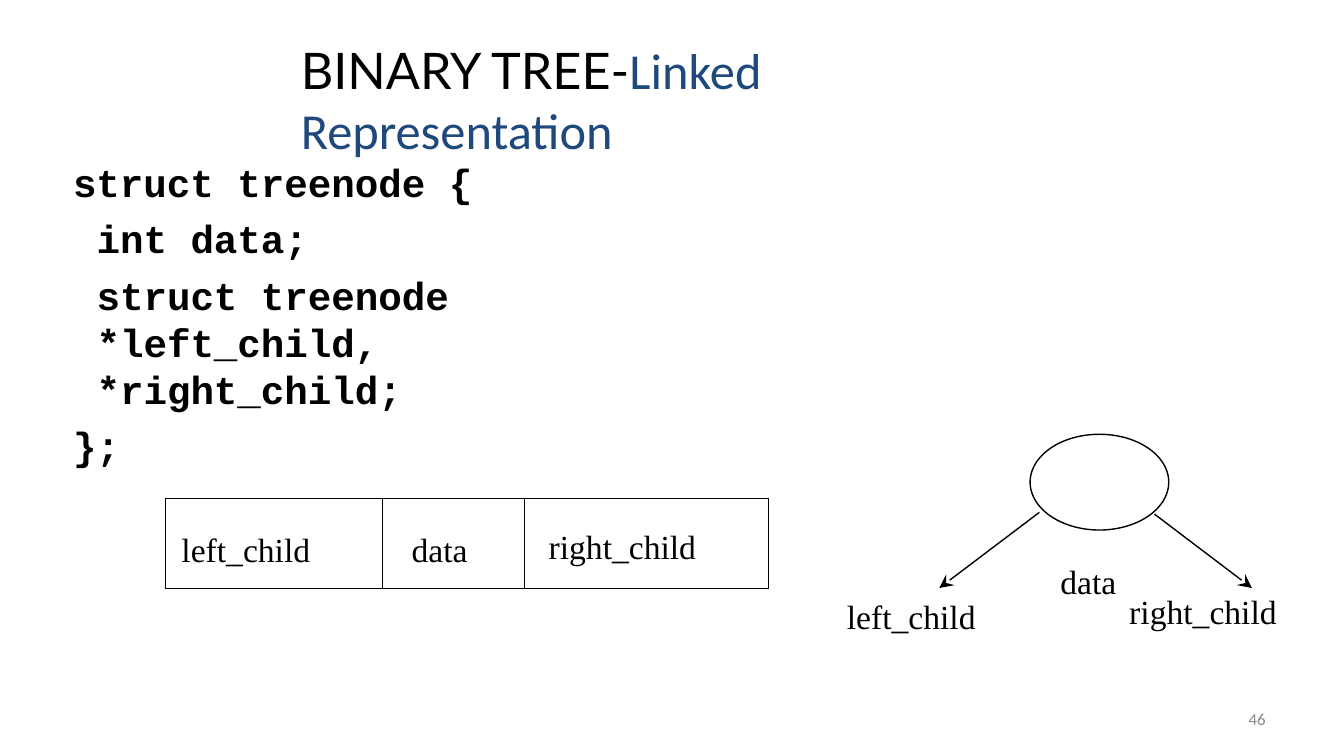
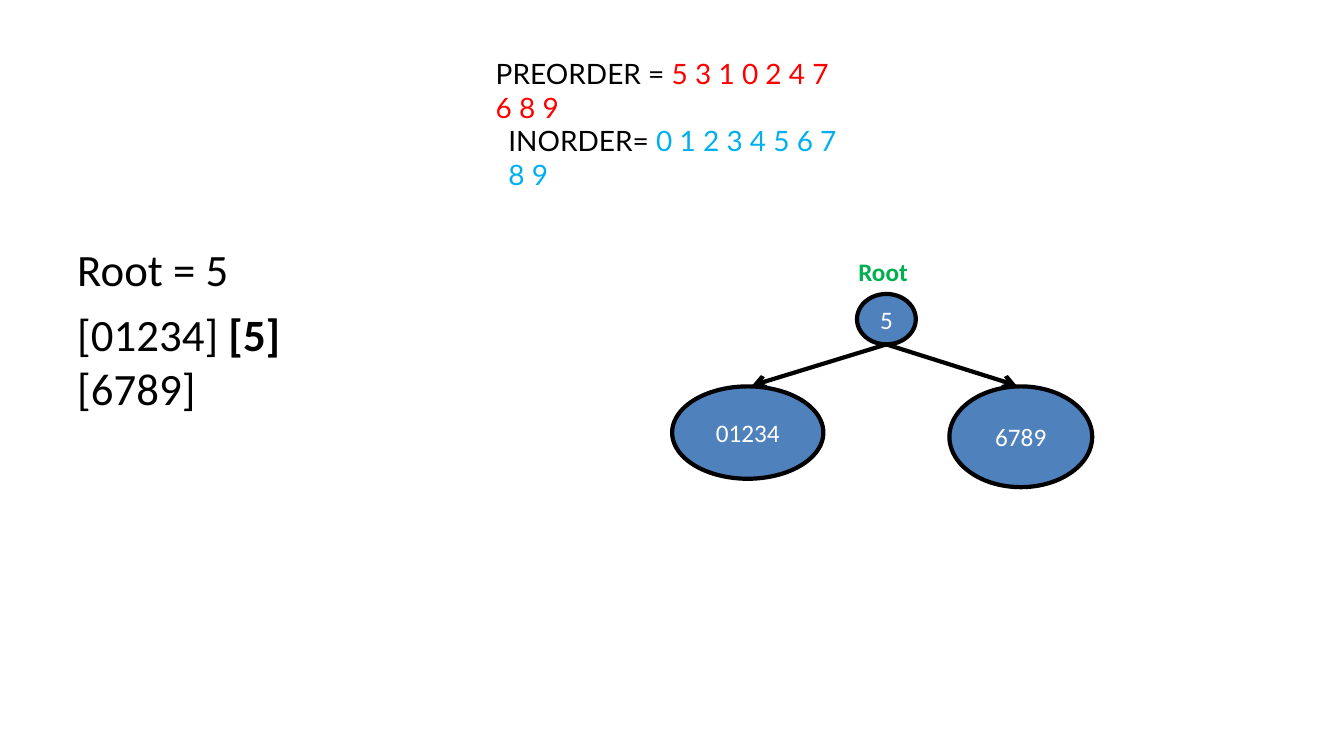
"""Build two lecture slides on the linked representation and rebuilding of binary trees."""
from dataclasses import dataclass
from typing import Optional

from lxml import etree
from pptx import Presentation
from pptx.dml.color import RGBColor
from pptx.enum.shapes import MSO_CONNECTOR, MSO_SHAPE
from pptx.enum.text import MSO_ANCHOR, PP_ALIGN
from pptx.oxml.ns import qn
from pptx.util import Emu, Inches, Pt

OVAL = MSO_SHAPE.OVAL
STRAIGHT = MSO_CONNECTOR.STRAIGHT
TOP, MIDDLE = MSO_ANCHOR.TOP, MSO_ANCHOR.MIDDLE
LEFT, CENTER = PP_ALIGN.LEFT, PP_ALIGN.CENTER

SLIDE_WIDTH, SLIDE_HEIGHT = Inches(13.33), Inches(7.5)
GRID_ROWS = 90
UNIT = SLIDE_HEIGHT // GRID_ROWS

BLACK, WHITE, GREY = "000000", "FFFFFF", "888888"
NAVY, NODE_BLUE, SKY, RED, GREEN = "1F487C", "4F81BC", "00AFEF", "FF0000", "00AF50"
TITLE_FONT, BODY_FONT = "Lato", "Calibri"
CODE_FONT, FIELD_FONT = "Courier New", "Times New Roman"


@dataclass(frozen=True)
class Run:
    """A stretch of text that differs from its box in some way."""
    text: str
    color: Optional[str] = None
    font: Optional[str] = None
    bold: Optional[bool] = None


@dataclass(frozen=True)
class Line:
    """A paragraph with its indent and tab stops in grid units."""
    runs: tuple[Run, ...]
    indent: float = 0
    tabs: tuple[float, ...] = ()


@dataclass(frozen=True)
class Box:
    """A rectangle in grid units."""
    left: float
    top: float
    width: float
    height: float

    @property
    def emu(self) -> tuple[Emu, Emu, Emu, Emu]:
        """Return the rectangle as slide lengths."""
        return grid(self.left), grid(self.top), grid(self.width), grid(self.height)


@dataclass(frozen=True)
class Field:
    """One member of the node record, with its cell and inner margins."""
    name: str
    width: float
    margin_left: float
    margin_top: float


@dataclass(frozen=True)
class Arrow:
    """A straight arrow between two grid points."""
    start: tuple[float, float]
    end: tuple[float, float]


@dataclass(frozen=True)
class Node:
    """A tree node with its key text."""
    keys: str
    box: Box


def grid(units: float) -> Emu:
    """Turn grid units into a slide length."""
    return Emu(round(units * UNIT))


def rgb(value: str) -> RGBColor:
    """Turn a hex string into a colour."""
    return RGBColor.from_string(value)


def plain(text: str, indent: float = 0) -> Line:
    """Return a line made of a single run."""
    return Line((Run(text),), indent)


def write(frame, *lines: Line, size: float, font: str = BODY_FONT, color: str = BLACK,
          bold: bool = False, align=LEFT, anchor=TOP, before: float = 0,
          spacing: Optional[float] = None) -> None:
    """Fill a text frame with formatted lines."""
    frame.word_wrap = True
    frame.vertical_anchor = anchor
    frame.margin_left = frame.margin_right = frame.margin_top = frame.margin_bottom = 0
    for index, line in enumerate(lines):
        paragraph = frame.add_paragraph() if index else frame.paragraphs[0]
        properties = paragraph._p.get_or_add_pPr()
        properties.set("marL", str(grid(line.indent)))
        properties.set("indent", "0")
        paragraph.alignment = align
        if spacing:
            paragraph.line_spacing = Pt(spacing)
        if index:
            paragraph.space_before = Pt(before)
        if line.tabs:
            stops = etree.SubElement(properties, qn("a:tabLst"))
            for position in line.tabs:
                etree.SubElement(stops, qn("a:tab"), pos=str(grid(position)), algn="l")
        for part in line.runs:
            run = paragraph.add_run()
            run.text = part.text
            run.font.size = Pt(size)
            run.font.name = part.font or font
            run.font.bold = bold if part.bold is None else part.bold
            run.font.color.rgb = rgb(part.color or color)


def add_text(slide, box: Box, *lines: Line, **style) -> None:
    """Place a text box on the slide."""
    write(slide.shapes.add_textbox(*box.emu).text_frame, *lines, **style)


def add_title(slide, box: Box, *lines: Line, size: float) -> None:
    """Place a title in the shared title style."""
    add_text(slide, box, *lines, size=size, font=TITLE_FONT, anchor=MIDDLE)


def add_node(slide, node: Node, weight: float, fill: Optional[str] = None) -> None:
    """Draw a tree node as an outlined oval with its keys."""
    oval = slide.shapes.add_shape(OVAL, *node.box.emu)
    oval.shadow.inherit = False
    oval.line.color.rgb = rgb(BLACK)
    oval.line.width = Pt(weight)
    if fill:
        oval.fill.solid()
        oval.fill.fore_color.rgb = rgb(fill)
    else:
        oval.fill.background()
    if node.keys:
        write(oval.text_frame, plain(node.keys), size=18, color=WHITE,
              align=CENTER, anchor=MIDDLE)


def add_arrow(slide, arrow: Arrow, weight: float, head: str, head_size: str) -> None:
    """Draw an arrow with the given head."""
    points = [grid(value) for value in (*arrow.start, *arrow.end)]
    connector = slide.shapes.add_connector(STRAIGHT, *points)
    connector.line.color.rgb = rgb(BLACK)
    connector.line.width = Pt(weight)
    etree.SubElement(connector.line._get_or_add_ln(), qn("a:tailEnd"),
                     type=head, w=head_size, len=head_size)
    etree.SubElement(connector._element.spPr, qn("a:effectLst"))


def add_borders(cell, weight: float) -> None:
    """Outline a table cell in black."""
    properties = cell._tc.get_or_add_tcPr()
    for index, side in enumerate(("a:lnL", "a:lnR", "a:lnT", "a:lnB")):
        border = etree.Element(qn(side), w=str(Pt(weight)))
        fill = etree.SubElement(border, qn("a:solidFill"))
        etree.SubElement(fill, qn("a:srgbClr"), val=BLACK)
        properties.insert(index, border)


def add_record(slide, left: float, top: float, height: float, fields: tuple[Field, ...]) -> None:
    """Draw the node record as a one-row table."""
    box = Box(left, top, sum(field.width for field in fields), height)
    table = slide.shapes.add_table(1, len(fields), *box.emu).table
    table.first_row = table.horz_banding = False
    table.rows[0].height = grid(height)
    for index, field in enumerate(fields):
        table.columns[index].width = grid(field.width)
        cell = table.cell(0, index)
        write(cell.text_frame, plain(field.name), size=24, font=FIELD_FONT)
        cell.margin_left, cell.margin_top = grid(field.margin_left), grid(field.margin_top)
        cell.margin_right = cell.margin_bottom = 0
        cell.fill.background()
        add_borders(cell, 1)


def build_linked_slide(slide) -> None:
    """Show the node structure, its record and its drawing."""
    add_title(slide, Box(35.8, 4.6, 88.9, 14.4),
              Line((Run("BINARY TREE-"),
                    Run("Linked Representation", NAVY, BODY_FONT))), size=36)
    add_text(slide, Box(8.5, 18.8, 55, 38),
             plain("struct treenode {", 0.2),
             plain("int data;", 3),
             plain("struct treenode *left_child, *right_child;", 3),
             plain("};", 0.2),
             size=28, font=CODE_FONT, bold=True, before=6.8, spacing=33.6)
    add_record(slide, 19.7, 59.3, 10.8, (
        Field("left_child", 25.8, 1.9, 4.1),
        Field("data", 16.9, 3.5, 4.1),
        Field("right_child", 29.1, 2.9, 3.8)))
    add_node(slide, Node("", Box(122.6, 51.7, 16.5, 11.4)), 1)
    for arrow in (Arrow((123.7, 61), (111.8, 70)), Arrow((137.4, 61.2), (149, 70))):
        add_arrow(slide, arrow, 1, "stealth", "lg")
    for name, left, top in (("left_child", 100.8, 70.9), ("data", 126.2, 66.8),
                            ("right_child", 134.4, 70.4)):
        add_text(slide, Box(left, top, 20, 5), plain(name), size=24, font=FIELD_FONT)
    add_text(slide, Box(148.6, 84.4, 3, 2.8), plain("46"), size=12, color=GREY)


def build_traversal_slide(slide) -> None:
    """Show the first split of the tree from its two traversals."""
    add_title(slide, Box(59, 6.7, 41.4, 16.1),
              Line((Run("PREORDER = "), Run("5 3 1 0 2 4 7 6 8 9", RED))),
              Line((Run("INORDER= "), Run("0 1 2 3 4 5 6 7 8 9", SKY)), 1.5), size=20)
    add_text(slide, Box(9, 28.8, 38.4, 21),
             plain("Root = 5", 0.2),
             Line((Run("[01234]\t"), Run("[5]\t", bold=True), Run("[6789]")),
                  0.2, (19.3, 28)),
             size=32, before=7.7)
    root = Node("5", Box(102, 35, 7, 6))
    subtrees = (Node("01234", Box(80, 46, 18, 11)), Node("6789", Box(113, 46, 17, 12)))
    for node in (root, *subtrees):
        add_node(slide, node, 3, NODE_BLUE)
    for tip in (89.5, 121):
        add_arrow(slide, Arrow((105.5, 41), (tip, 45.9)), 3, "arrow", "med")
    add_text(slide, Box(101.6, 30.5, 7, 3.7), plain("Root"),
             size=18, color=GREEN, bold=True, align=CENTER)


def main() -> None:
    """Build and save the presentation."""
    deck = Presentation()
    deck.slide_width, deck.slide_height = SLIDE_WIDTH, SLIDE_HEIGHT
    blank = deck.slide_layouts[6]
    for build in (build_linked_slide, build_traversal_slide):
        build(deck.slides.add_slide(blank))
    deck.save("out.pptx")


if __name__ == "__main__":
    main()
